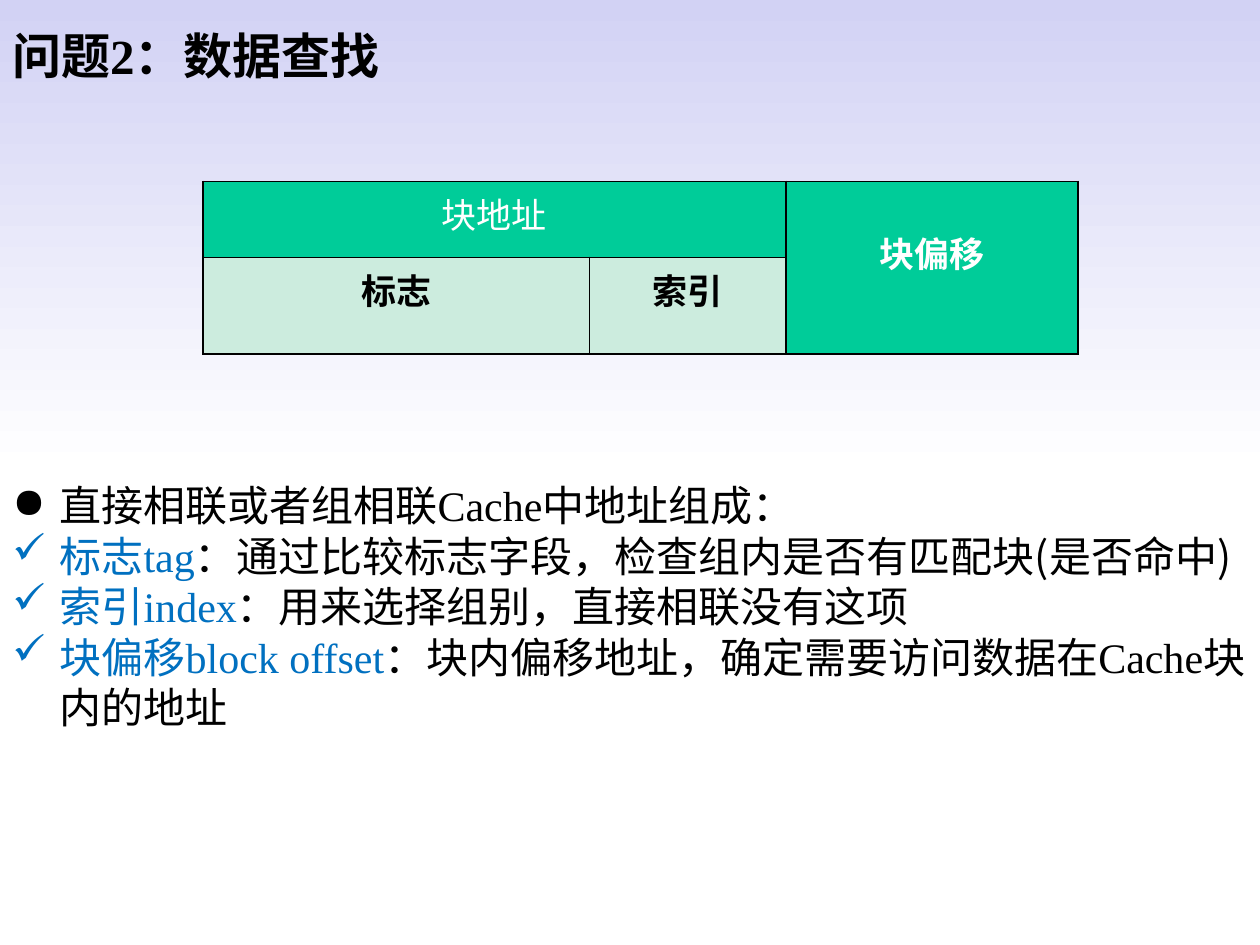
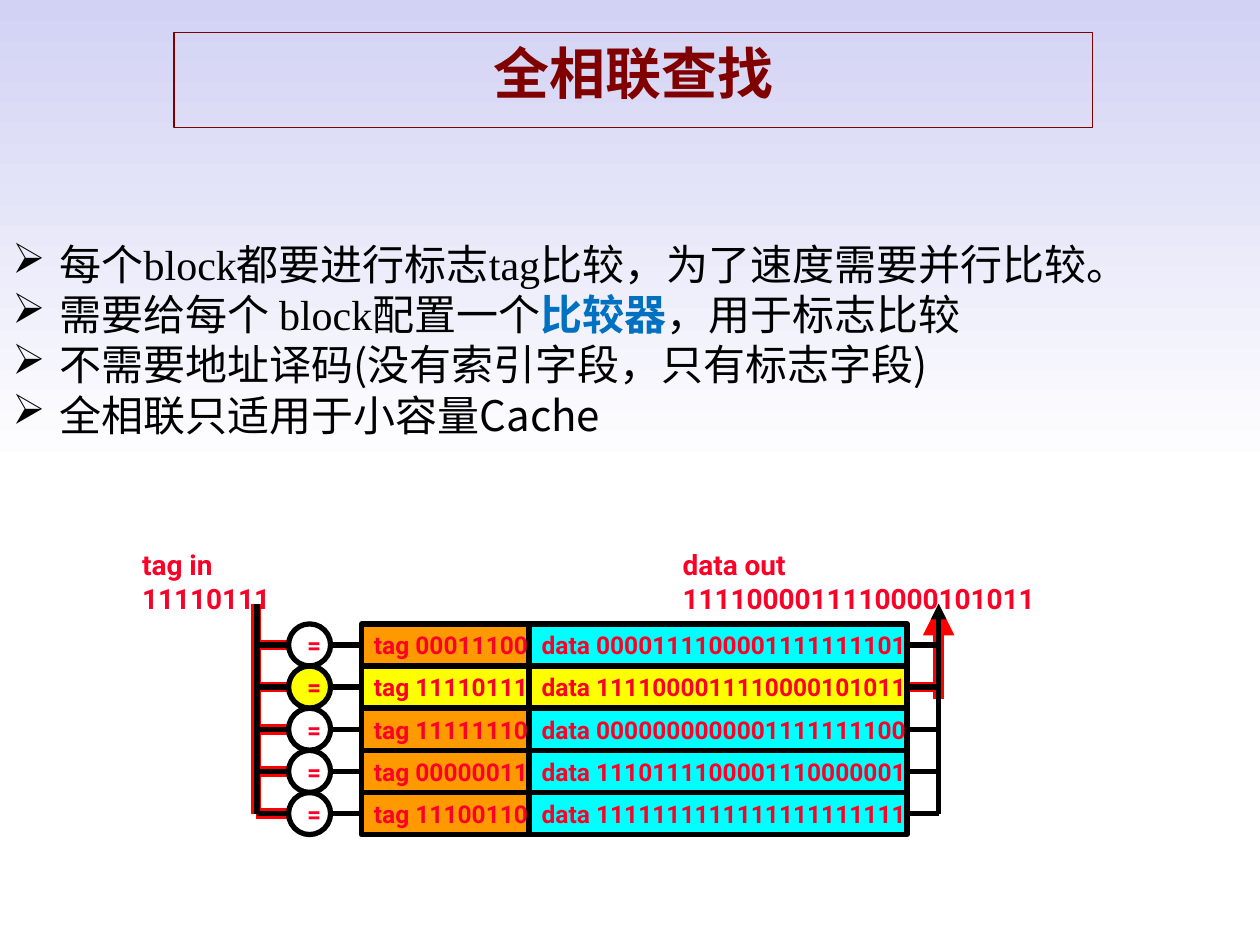
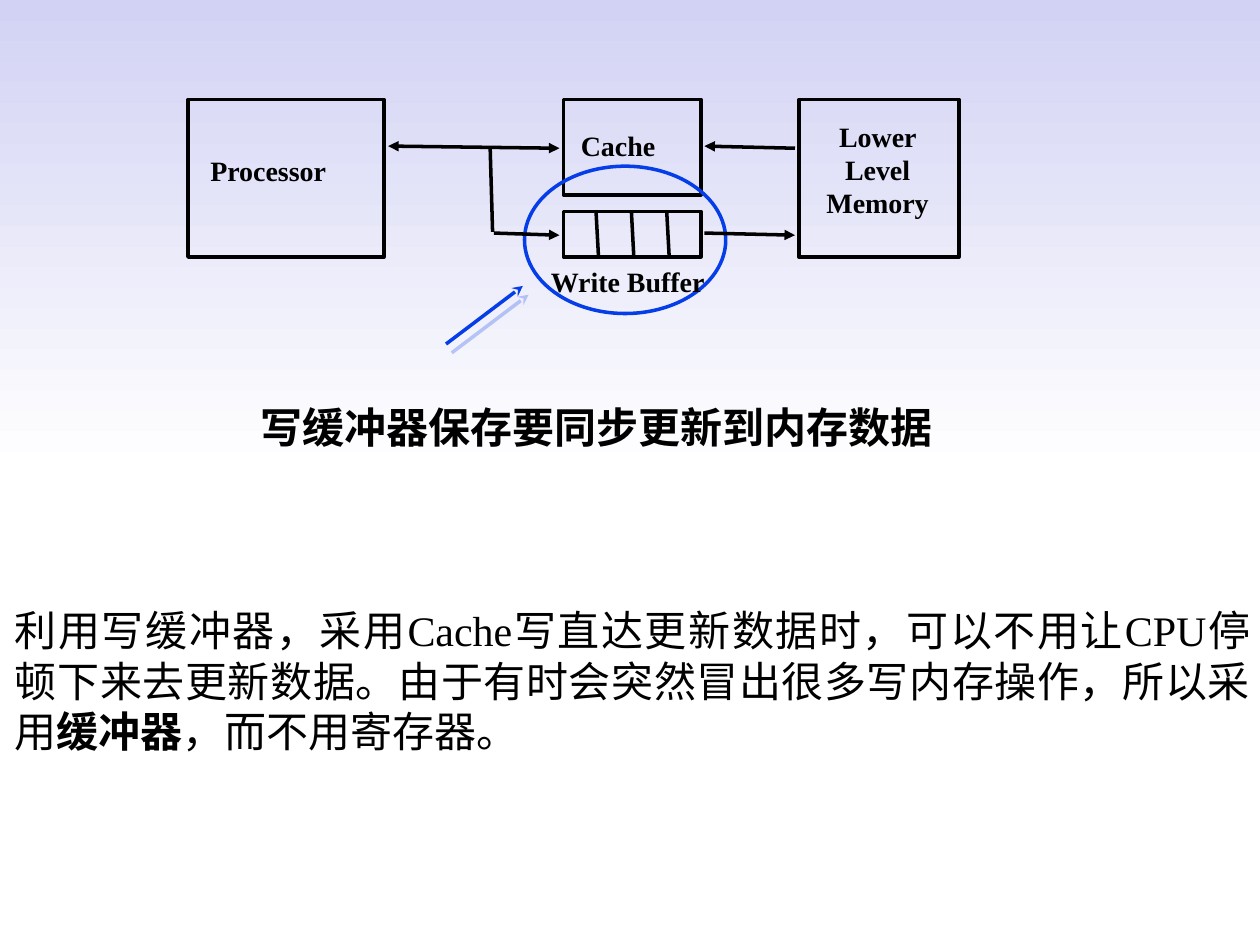
from dataclasses import dataclass

from lxml.etree import SubElement as Sub
from pptx import Presentation
from pptx.dml.color import RGBColor as RGB
from pptx.enum.shapes import MSO_CONNECTOR as Link, MSO_SHAPE as Form
from pptx.enum.text import MSO_ANCHOR as Anchor, PP_ALIGN as Align
from pptx.oxml.ns import qn
from pptx.util import Pt


@dataclass(frozen=True)
class Theme:
    sky: str = "D2D2F4"
    white: str = "FFFFFF"
    black: str = "000000"
    blue: str = "0070C0"
    ink: str = "053DE8"
    green: str = "00CC99"
    mint: str = "CCECDE"
    maroon: str = "800000"
    red: str = "FF0000"
    rose: str = "FC0128"
    orange: str = "FF9900"
    cyan: str = "00FFFF"
    yellow: str = "FFFF00"
    serif: str = "Times New Roman"
    sans: str = "Arial"
    code: str = "Roboto"
    han: str = "Noto Sans CJK SC"
    head: int = 28
    title: int = 32
    body: int = 24
    cell: int = 20
    label: int = 16
    bit: int = 14


T = Theme()


def write(frame, paras, size, font=T.serif, color=T.black, bold=False, align=Align.LEFT,
          anchor=Anchor.TOP, wrap=True, pad=None, pitch=None):
    """Fill a frame; each paragraph is (bullet, runs), each run (text, changes)."""
    frame.word_wrap = wrap
    frame.vertical_anchor = anchor
    if pad is not None:
        frame.margin_left = frame.margin_right = Pt(pad)
        frame.margin_top = frame.margin_bottom = Pt(pad)
    for i, (mark, runs) in enumerate(paras):
        para = frame.add_paragraph() if i else frame.paragraphs[0]
        para.alignment = align
        if pitch:
            para.line_spacing = Pt(pitch)
        if mark:
            props = para._p.get_or_add_pPr()
            props.set("marL", str(Pt(27)))
            props.set("indent", str(Pt(-27)))
            Sub(props, qn("a:buChar"), char=mark)
        for text, diff in runs:
            run = para.add_run()
            run.text = text
            face = run.font
            face.size = Pt(size)
            face.name = diff.get("font", font)
            face.bold = diff.get("bold", bold)
            face.color.rgb = RGB.from_string(diff.get("color", color))
            Sub(run._r.get_or_add_rPr(), qn("a:ea"), typeface=T.han)


def join(slide, x1, y1, x2, y2, color=T.black, width=2, head=None, tail=None):
    """Draw a line with optional arrowheads and return its empty effect list."""
    line = slide.shapes.add_connector(Link.STRAIGHT, Pt(x1), Pt(y1), Pt(x2), Pt(y2))
    line.line.color.rgb = RGB.from_string(color)
    line.line.width = Pt(width)
    props = line.element.spPr
    for tag, kind in (("a:headEnd", head), ("a:tailEnd", tail)):
        if kind:
            Sub(props.find(qn("a:ln")), qn(tag), type=kind)
    return Sub(props, qn("a:effectLst"))


deck = Presentation()
deck.slide_width, deck.slide_height = Pt(720), Pt(540)
blank = deck.slide_layouts[6]

back = deck.slide_master.background.fill
back.gradient()
back.gradient_angle = 270
for stop, place, color in zip(back.gradient_stops, (0, 0.5), (T.sky, T.white)):
    stop.position = place
    stop.color.rgb = RGB.from_string(color)

# Slide 1: parts of an address
slide = deck.slides.add_slide(blank)
box = slide.shapes.add_textbox(Pt(0), Pt(10.8), Pt(720), Pt(41))
write(box.text_frame, [(None, [("问题2：数据查找", {})])], T.head, bold=True)

blue = {"color": T.blue}
han = {"font": T.han}
box = slide.shapes.add_textbox(Pt(0), Pt(270.7), Pt(720), Pt(181.4))
write(box.text_frame, [
    ("●", [("直接相联或者组相联Cache中地址组成：", {})]),
    ("✓", [("标志tag", blue), ("：通过比较标志字段，检查组内是否有匹配块", {}),
           ("(是否命中)", han)]),
    ("✓", [("索引index", blue), ("：用来选择组别，直接相联没有这项", {})]),
    ("✓", [("块偏移block offset", blue),
           ("：块内偏移地址，确定需要访问数据在Cache块内的地址", {})]),
], T.body)

grid = slide.shapes.add_table(2, 3, Pt(115.9), Pt(103.7), Pt(500.2), Pt(98.6)).table
for col, width in zip(grid.columns, (221, 112.3, 166.9)):
    col.width = Pt(width)
for row, height in zip(grid.rows, (43.4, 55.2)):
    row.height = Pt(height)
grid.cell(0, 0).merge(grid.cell(0, 1))
grid.cell(0, 2).merge(grid.cell(1, 2))
for cell in grid.iter_cells():
    props = cell._tc.get_or_add_tcPr()
    for side in "LRTB":
        edge = Sub(props, qn(f"a:ln{side}"), w=str(Pt(1)))
        Sub(Sub(edge, qn("a:solidFill")), qn("a:srgbClr"), val=T.black)
fields = [
    (0, 0, "块地址", T.green, T.white, False),
    (0, 2, "块偏移", T.green, T.white, True),
    (1, 0, "标志", T.mint, T.black, True),
    (1, 1, "索引", T.mint, T.black, True),
]
for row, col, text, fill, color, bold in fields:
    cell = grid.cell(row, col)
    cell.fill.solid()
    cell.fill.fore_color.rgb = RGB.from_string(fill)
    write(cell.text_frame, [(None, [(text, {})])], T.cell, color=color, bold=bold,
          align=Align.CENTER)
grid.cell(0, 2).margin_top = Pt(26)

# Slide 2: fully associative lookup
slide = deck.slides.add_slide(blank)
box = slide.shapes.add_shape(Form.RECTANGLE, Pt(99.4), Pt(18.7), Pt(524.9), Pt(54))
box.shadow.inherit = False
box.fill.background()
box.line.color.rgb = RGB.from_string(T.maroon)
box.line.width = Pt(0.75)
write(box.text_frame, [(None, [("全相联查找", {})])], T.title, T.sans, T.maroon, True,
      Align.CENTER)

lines = [
    ("00011100", "0000111100001111111101"),
    ("11110111", "1111000011110000101011"),
    ("11111110", "0000000000001111111100"),
    ("00000011", "1110111100001110000001"),
    ("11100110", "1111111111111111111111"),
]
hit = 1
top, step = 356.5, 24.1
mids = [top + step / 2 + i * step for i in range(len(lines))]
left, ring, tag, data, right = 146.9, 164.9, 206.6, 302.4, 536.4
end = data + 216
peak, foot = 345, mids[-1]

# Red highlight below the black wires
join(slide, end, mids[hit], right, mids[hit], T.red, 6)
join(slide, right, 399.6, right, peak, T.red, 6, tail="triangle")
for mid in mids:
    join(slide, left - 0.7, mid, ring - 0.7, mid, T.red, 6)
join(slide, left - 0.7, foot, left - 0.7, peak, T.red, 6)

for i, (key, bits) in enumerate(lines):
    found = i == hit
    parts = [
        (Form.OVAL, ring, 24, "=", T.yellow if found else None),
        (Form.RECTANGLE, tag, 95.8, f"tag {key}", T.yellow if found else T.orange),
        (Form.RECTANGLE, data, 216, f"data {bits}", T.yellow if found else T.cyan),
    ]
    for form, x, width, text, fill in parts:
        box = slide.shapes.add_shape(form, Pt(x), Pt(top + i * step), Pt(width), Pt(24))
        box.shadow.inherit = False
        if fill:
            box.fill.solid()
            box.fill.fore_color.rgb = RGB.from_string(fill)
        else:
            box.fill.background()
        box.line.color.rgb = RGB.from_string(T.black)
        box.line.width = Pt(3)
        write(box.text_frame, [(None, [(text, {})])], T.bit, T.code, T.rose, True,
              anchor=Anchor.MIDDLE, wrap=False)
    for x1, x2 in ((left, ring), (ring + 24, tag), (end, right)):
        join(slide, x1, mids[i], x2, mids[i], width=3)
join(slide, left, foot, left, peak, width=3)
join(slide, right, foot, right, peak, width=3, tail="triangle")

for x, width, text in ((74.2, 129.6, "tag in 11110111"),
                       (383, 272.9, "data out 1111000011110000101011")):
    box = slide.shapes.add_textbox(Pt(x), Pt(319), Pt(width), Pt(26.6))
    write(box.text_frame, [(None, [(text, {})])], T.label, T.code, T.rose, True,
          anchor=Anchor.MIDDLE)

box = slide.shapes.add_textbox(Pt(0), Pt(132.5), Pt(720), Pt(123.8))
write(box.text_frame, [
    ("➢", [("每个block都要进行标志tag比较，为了速度需要并行比较。", {})]),
    ("➢", [("需要给每个 block配置一个", {}), ("比较器", {"color": T.blue, "bold": True}),
           ("，用于标志比较", {})]),
    ("➢", [("不需要地址译码", {}), ("(没有索引字段，只有标志字段)", han)]),
    ("➢", [("全相联只适用于小容量Cache", han)]),
], T.body)

# Slide 3: write buffer
slide = deck.slides.add_slide(blank)
frames = [
    (Form.RECTANGLE, 107.4, 56.9, 112, 90, T.black),
    (Form.RECTANGLE, 322, 56.9, 78.5, 54.6, T.black),
    (Form.RECTANGLE, 322, 120.8, 78.5, 26, T.black),
    (Form.RECTANGLE, 456.5, 56.9, 91.5, 90, T.black),
    (Form.OVAL, 299.7, 95, 115, 84.2, T.ink),
]
for form, x, y, width, height, color in frames:
    box = slide.shapes.add_shape(form, Pt(x), Pt(y), Pt(width), Pt(height))
    box.shadow.inherit = False
    box.fill.background()
    box.line.color.rgb = RGB.from_string(color)
    box.line.width = Pt(2)

labels = [
    (120.2, 87.8, 75, 22, "Processor", Align.LEFT),
    (331.9, 73.8, 48.2, 22, "Cache", Align.LEFT),
    (314.8, 151.4, 100, 22, "Write Buffer", Align.LEFT),
    (461.5, 68.4, 80, 68, "Lower Level Memory", Align.CENTER),
]
for x, y, width, height, text, align in labels:
    box = slide.shapes.add_textbox(Pt(x), Pt(y), Pt(width), Pt(height))
    write(box.text_frame, [(None, [(text, {})])], T.label, bold=True, align=align,
          pad=0, pitch=19)

for i in range(3):
    x = 340.6 + i * 20.2
    join(slide, x, 120.8, x + 1.4, 146.8)
tip = "triangle"
join(slide, 221.8, 83.5, 319.7, 84.7, head=tip, tail=tip)
join(slide, 280.1, 84.7, 281.5, 132.5)
join(slide, 282.2, 133.2, 319.7, 134.4, tail=tip)
join(slide, 402.5, 133.2, 454.3, 134.4, tail=tip)
join(slide, 402.5, 83.5, 454.3, 84.7, head=tip)

glow = join(slide, 254.9, 196.6, 298.8, 163.4, T.ink, tail="stealth")
shade = Sub(glow, qn("a:outerShdw"), dist=str(Pt(6)), dir=str(57 * 60000),
            algn="ctr", rotWithShape="0")
Sub(Sub(shade, qn("a:srgbClr"), val=T.ink), qn("a:alpha"), val="25000")

box = slide.shapes.add_textbox(Pt(17.3), Pt(229.7), Pt(647.3), Pt(34.6))
write(box.text_frame, [(None, [("写缓冲器保存要同步更新到内存数据", {})])], T.body, T.han,
      bold=True, align=Align.CENTER, pad=0)

box = slide.shapes.add_textbox(Pt(1.4), Pt(342), Pt(720), Pt(94.3))
write(box.text_frame, [(None, [
    ("利用写缓冲器，采用Cache写直达更新数据时，可以不用让CPU停顿下来去更新数据。"
     "由于有时会突然冒出很多写内存操作，所以采用", {}),
    ("缓冲器", {"bold": True}),
    ("，而不用寄存器。", {}),
])], T.body, align=Align.JUSTIFY)

deck.save("out.pptx")
